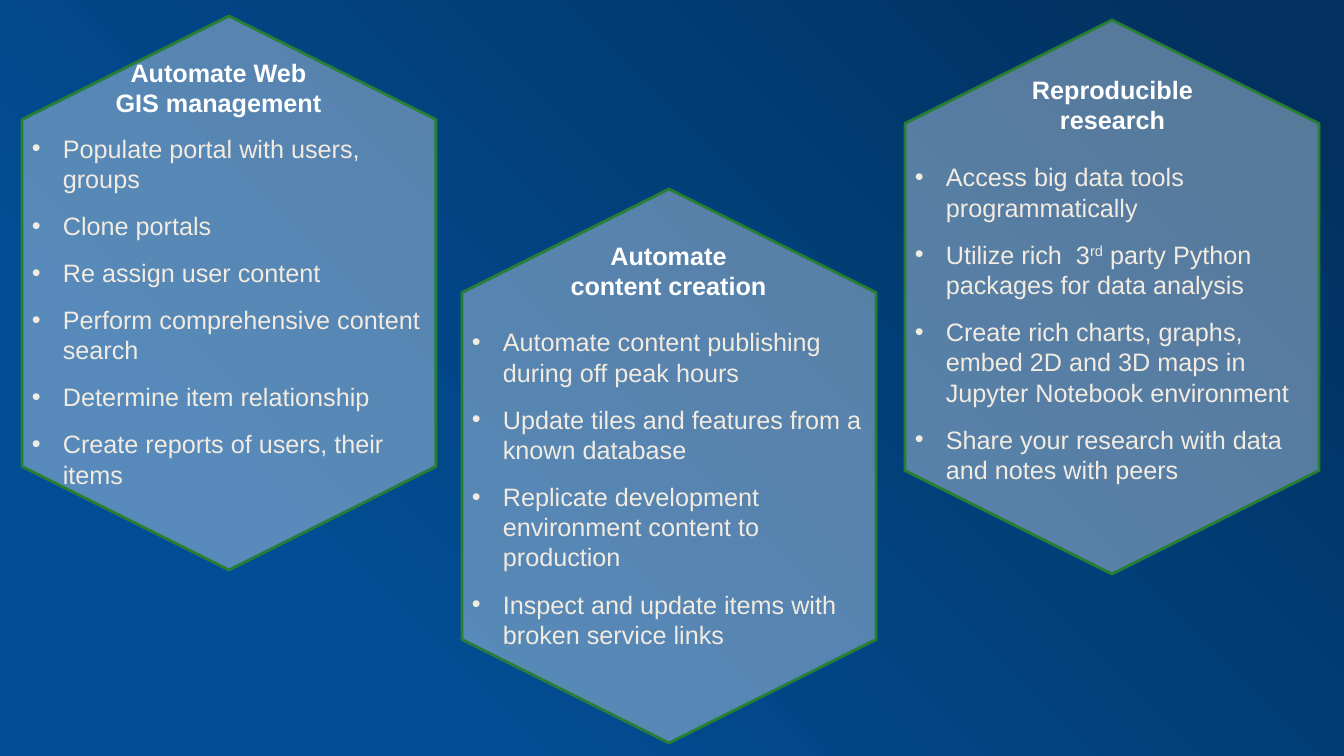
from lxml import etree
from pptx import Presentation
from pptx import util as u
from pptx.dml.color import RGBColor
from pptx.enum import shapes, text
from pptx.oxml.ns import qn

PX = 914400 / 100.8
SLIDE_W, SLIDE_H = 1344, 756
HEX_W, HEX_H = 414, 554
TITLE_W, TITLE_H = 231, 72
COLORS = {
    "bg_light": "024E96", "bg_dark": "02315F",
    "hexagon": "DEEBF7", "outline": "277F34",
    "title": "FFFFFF", "body": "F2EBE1",
}
TITLE_FONT = {"name": "Arial", "size": u.Pt(18), "bold": True}
BODY_FONT = {"name": "Arial", "size": u.Pt(18), "bold": False}

# Offsets of title and body are measured from the hexagon's top left corner.
# A bullet is a list of (words, superscript) pieces or plain words.
PANELS = [
    {
        "at": (22, 16), "title_at": (81, 36), "body_y": 141, "body_h": 308,
        "title": "Automate Web GIS management",
        "bullets": [
            "Populate portal with users, groups",
            "Clone portals",
            "Re assign user content",
            "Perform comprehensive content search",
            "Determine item relationship",
            "Create reports of users, their items",
        ],
    },
    {
        "at": (462, 189), "title_at": (91, 46), "body_y": 131, "body_h": 336,
        "title": "Automate content creation",
        "bullets": [
            "Automate content publishing during off peak hours",
            "Update tiles and features from a known database",
            "Replicate development environment content to production",
            "Inspect and update items with broken service links",
        ],
    },
    {
        "at": (905, 20), "title_at": (92, 49), "body_y": 135, "body_h": 336,
        "title": "Reproducible research",
        "bullets": [
            "Access big data tools programmatically",
            [("Utilize rich  3", False), ("rd", True),
             (" party Python packages for data analysis", False)],
            "Create rich charts, graphs, embed 2D and 3D maps in "
            "Jupyter Notebook environment",
            "Share your research with data and notes with peers",
        ],
    },
]


def px(*lengths):
    return [u.Emu(round(length * PX)) for length in lengths]


def color(name):
    return RGBColor.from_string(COLORS[name])


def add_run(paragraph, words, font_values, color_name):
    run = paragraph.add_run()
    run.text = words
    for name, value in font_values.items():
        setattr(run.font, name, value)
    run.font.color.rgb = color(color_name)
    return run


def add_text_frame(group, box, anchor):
    frame = group.shapes.add_textbox(*px(*box)).text_frame
    values = {"word_wrap": True, "vertical_anchor": anchor,
              "auto_size": text.MSO_AUTO_SIZE.SHAPE_TO_FIT_TEXT}
    for name, value in values.items():
        setattr(frame, name, value)
    return frame


def paint_background(slide):
    fill = slide.background.fill
    fill.gradient()
    fill.gradient_angle = 45
    stops = [("bg_light", 0.21), ("bg_dark", 0.94)]
    for stop, (name, position) in zip(fill.gradient_stops, stops):
        stop.color.rgb = color(name)
        stop.position = position


def add_hexagon(group, left, top):
    # The preset points sideways, so it is laid flat and turned upright
    shift = (HEX_H - HEX_W) / 2
    shape = group.shapes.add_shape(
        shapes.MSO_SHAPE.HEXAGON, *px(left - shift, top + shift, HEX_H, HEX_W))
    shape.rotation = 270
    shape.shadow.inherit = False
    shape.fill.solid()
    shape.fill.fore_color.rgb = color("hexagon")
    fill_color = shape.fill._xPr.find(qn("a:solidFill"))[0]
    etree.SubElement(fill_color, qn("a:alpha"), val="39000")
    shape.line.color.rgb = color("outline")
    shape.line.width = u.Pt(2)


def add_title(group, left, top, title):
    frame = add_text_frame(group, (left, top, TITLE_W, TITLE_H),
                           text.MSO_ANCHOR.TOP)
    paragraph = frame.paragraphs[0]
    paragraph.alignment = text.PP_ALIGN.CENTER
    add_run(paragraph, title, TITLE_FONT, "title")


def add_bullets(group, box, bullets):
    frame = add_text_frame(group, box, text.MSO_ANCHOR.MIDDLE)
    indent = px(31)[0]
    for index, bullet in enumerate(bullets):
        paragraph = frame.add_paragraph() if index else frame.paragraphs[0]
        properties = paragraph._p.get_or_add_pPr()
        properties.set("marL", str(indent))
        properties.set("indent", str(-indent))
        etree.SubElement(properties, qn("a:buFont"), typeface="Arial")
        etree.SubElement(properties, qn("a:buChar"), char="•")
        paragraph.space_before = u.Pt(6 if index else 0)
        paragraph.space_after = u.Pt(6)
        pieces = [(bullet, False)] if isinstance(bullet, str) else bullet
        for words, superscript in pieces:
            run = add_run(paragraph, words, BODY_FONT, "body")
            if superscript:
                run._r.get_or_add_rPr().set("baseline", "30000")


def add_panel(slide, panel):
    left, top = panel["at"]
    title_x, title_y = panel["title_at"]
    group = slide.shapes.add_group_shape()
    add_hexagon(group, left, top)
    add_title(group, left + title_x, top + title_y, panel["title"])
    body_box = (left, top + panel["body_y"], HEX_W, panel["body_h"])
    add_bullets(group, body_box, panel["bullets"])


def main():
    presentation = Presentation()
    presentation.slide_width, presentation.slide_height = px(SLIDE_W, SLIDE_H)
    slide = presentation.slides.add_slide(presentation.slide_layouts[6])
    paint_background(slide)
    for panel in PANELS:
        add_panel(slide, panel)
    presentation.save("out.pptx")


if __name__ == "__main__":
    main()
